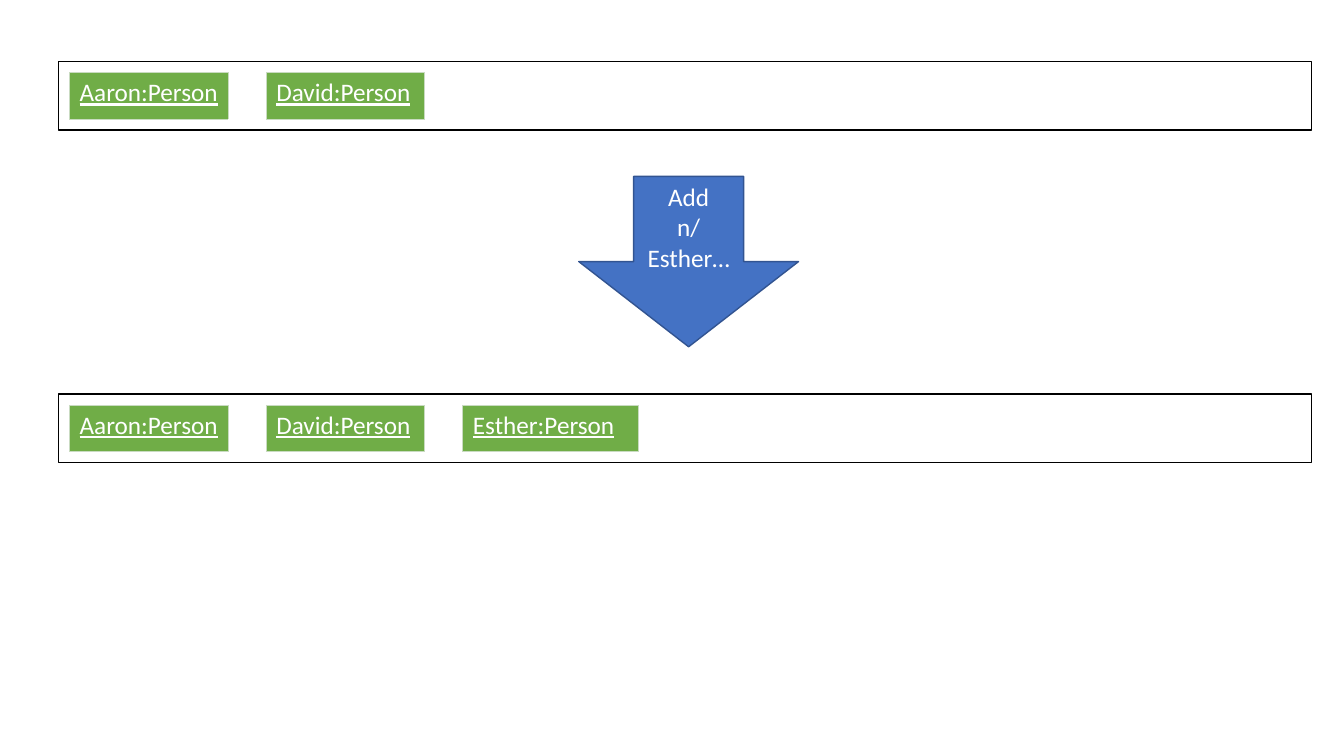
from lxml import etree
from pptx import Presentation
from pptx.dml.color import RGBColor
from pptx.enum.shapes import MSO_SHAPE
from pptx.enum.text import MSO_ANCHOR, PP_ALIGN
from pptx.oxml.ns import qn
from pptx.util import Inches, Pt

COLORS = {
    "white": "FFFFFF",
    "frame": "000000",
    "person": "70AD47",
    "person_border": "C9DBC1",
    "arrow": "4472C4",
    "arrow_line": "325491",
}
FONT = "Calibri"
LIST_LEFT, LIST_WIDTH, LIST_HEIGHT = 0.58, 12.43, 0.68
PADDING = 0.11
PERSON_GAP = 0.38
PERSON_WIDTHS = {"Aaron:Person": 1.57, "David:Person": 1.57, "Esther:Person": 1.74}


def color(name):
    return RGBColor.from_string(COLORS[name])


def format_runs(paragraph, underline=None):
    for run in paragraph.runs:
        run.font.name = FONT
        run.font.size = Pt(18)
        run.font.underline = underline
        run.font.color.rgb = color("white")


def add_outlined_shape(slide, preset, box, line_color):
    shape = slide.shapes.add_shape(preset, *map(Inches, box))
    shape.shadow.inherit = False
    shape.line.color.rgb = color(line_color)
    shape.line.width = Pt(1)
    return shape


def set_cell_borders(cell):
    properties = cell._tc.get_or_add_tcPr()
    for position, side in enumerate(("a:lnL", "a:lnR", "a:lnT", "a:lnB")):
        border = etree.Element(qn(side), w=str(Pt(0.5)))
        fill = etree.SubElement(border, qn("a:solidFill"))
        etree.SubElement(fill, qn("a:srgbClr"), val=COLORS["person_border"])
        properties.insert(position, border)


def add_person(slide, name, box):
    table = slide.shapes.add_table(1, 1, *map(Inches, box)).table
    table.first_row = table.horz_banding = False
    cell = table.cell(0, 0)
    cell.fill.solid()
    cell.fill.fore_color.rgb = color("person")
    set_cell_borders(cell)
    cell.text_frame.text = name
    format_runs(cell.text_frame.paragraphs[0], underline=True)


def add_person_list(slide, box, names):
    """Draw a framed list with its people in a row from the left."""
    left, top, width, height = box
    frame = add_outlined_shape(slide, MSO_SHAPE.RECTANGLE, box, "frame")
    frame.fill.background()
    person_left = left + PADDING
    for name in names:
        person_width = PERSON_WIDTHS[name]
        add_person(slide, name, (person_left, top + PADDING, person_width, height - 2 * PADDING))
        person_left += person_width + PERSON_GAP


def add_command_arrow(slide, box, lines):
    arrow = add_outlined_shape(slide, MSO_SHAPE.DOWN_ARROW, box, "arrow_line")
    arrow.fill.solid()
    arrow.fill.fore_color.rgb = color("arrow")
    text_frame = arrow.text_frame
    text_frame.word_wrap = True
    text_frame.vertical_anchor = MSO_ANCHOR.TOP
    text_frame.text = "\n".join(lines)
    for paragraph in text_frame.paragraphs:
        paragraph.alignment = PP_ALIGN.CENTER
        format_runs(paragraph)


def main():
    presentation = Presentation()
    presentation.slide_width = Inches(13.33)
    presentation.slide_height = Inches(7.5)
    slide = presentation.slides.add_slide(presentation.slide_layouts[6])
    people = list(PERSON_WIDTHS)
    add_person_list(slide, (LIST_LEFT, 0.61, LIST_WIDTH, LIST_HEIGHT), people[:2])
    add_command_arrow(slide, (5.74, 1.75, 2.18, 1.69), ["Add", "n/Esther…"])
    add_person_list(slide, (LIST_LEFT, 3.91, LIST_WIDTH, LIST_HEIGHT), people)
    presentation.save("out.pptx")


if __name__ == "__main__":
    main()
